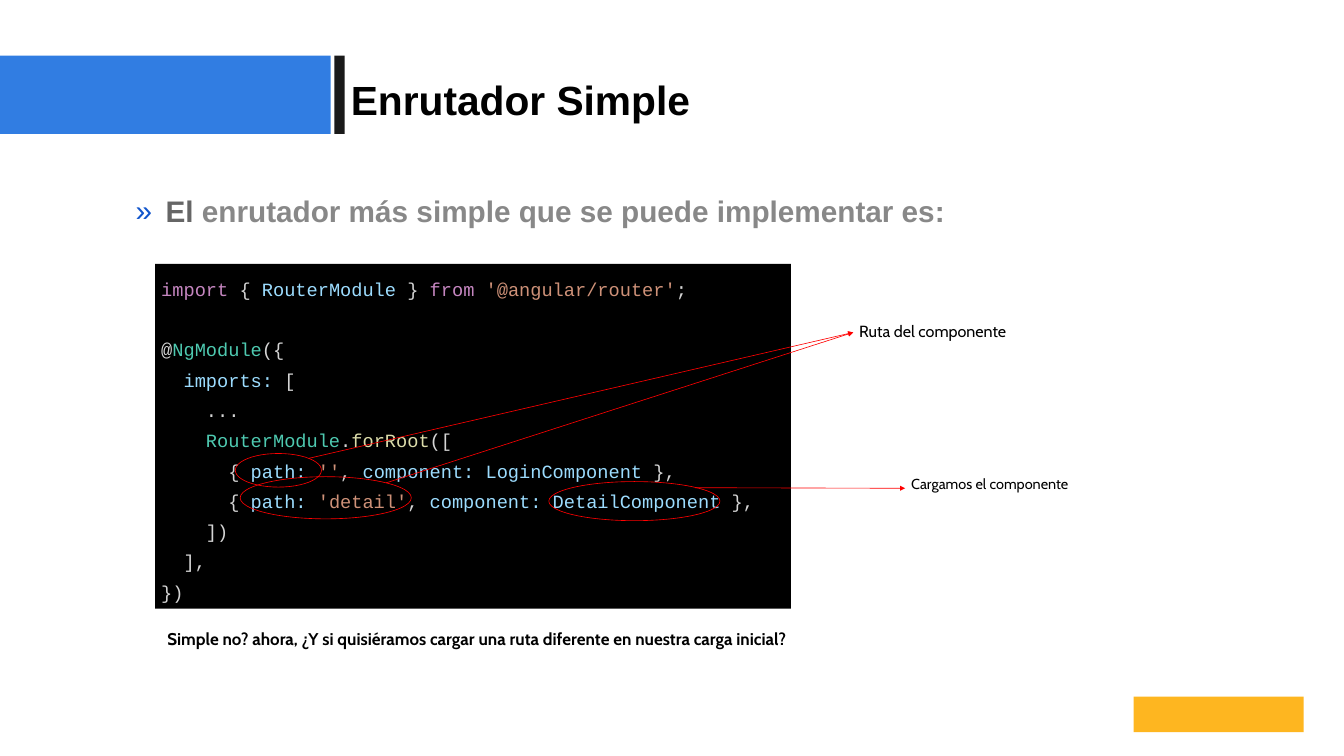
"""Builds the slide "Enrutador Simple" about a minimal router."""
from lxml import etree
from pptx import Presentation
from pptx.dml.color import RGBColor
from pptx.enum.shapes import MSO_CONNECTOR, MSO_SHAPE
from pptx.enum.text import MSO_ANCHOR, MSO_AUTO_SIZE, PP_ALIGN
from pptx.oxml.ns import qn
from pptx.util import Inches, Pt

RECT, OVAL = MSO_SHAPE.RECTANGLE, MSO_SHAPE.OVAL
STRAIGHT = MSO_CONNECTOR.STRAIGHT
TOP, MIDDLE = MSO_ANCHOR.TOP, MSO_ANCHOR.MIDDLE
LEFT, JUSTIFY = PP_ALIGN.LEFT, PP_ALIGN.JUSTIFY
NO_AUTOFIT = MSO_AUTO_SIZE.NONE

BLUE = RGBColor(0x31, 0x7D, 0xE2)
DARK = RGBColor(0x1A, 0x1A, 0x1A)
BLACK = RGBColor(0, 0, 0)
RED = RGBColor(0xFF, 0, 0)
AMBER = RGBColor(0xFE, 0xB6, 0x20)
GRAY = RGBColor(0x66, 0x66, 0x66)
LIGHT_GRAY = RGBColor(0x88, 0x88, 0x88)
KEYWORD = RGBColor(0xC5, 0x86, 0xC0)
PLAIN = RGBColor(0xD4, 0xD4, 0xD4)
NAME = RGBColor(0x9C, 0xDC, 0xFE)
STRING = RGBColor(0xCE, 0x91, 0x78)
TYPE = RGBColor(0x4E, 0xC9, 0xB0)
CALL = RGBColor(0xDC, 0xDC, 0xAA)
BULLET_COLOR = "1155CC"
CODE_LEADING = Pt(35.7)


def route(path_value, component):
    """Return the coloured runs of one route entry."""
    return [("      { ", PLAIN), ("path: ", NAME), (path_value, STRING), (", ", PLAIN),
            ("component: " + component, NAME), (" },", PLAIN)]


CODE = [
    [("import", KEYWORD), (" { ", PLAIN), ("RouterModule", NAME), (" } ", PLAIN),
     ("from ", KEYWORD), ("'@angular/router'", STRING), (";", PLAIN)],
    [("@", PLAIN), ("NgModule", TYPE), ("({", PLAIN)],
    [("  ", PLAIN), ("imports:", NAME), (" [", PLAIN)],
    [("    ...", PLAIN)],
    [("    ", PLAIN), ("RouterModule", TYPE), (".", PLAIN), ("forRoot", CALL), ("([", PLAIN)],
    route("''", "LoginComponent"),
    route("'detail'", "DetailComponent"),
    [("    ])", PLAIN)],
    [("  ],", PLAIN)],
    [("})", PLAIN)],
]
RINGS = [(3.85, 7.42, 1.41, 0.55), (3.93, 7.8, 2.8, 0.69), (8.98, 7.88, 2.8, 0.64)]
ARROWS = [(5.05, 7.5, 13.96, 5.44), (6.32, 7.9, 13.96, 5.44), (11.37, 7.98, 14.81, 7.99)]
NOTES = [
    ("Ruta del componente", (13.96, 5.16, 3.54, 0.55), 19, False),
    ("Cargamos el componente", (14.81, 7.67, 4.02, 0.64), 17, False),
    ("Simple no? ahora, ¿Y si quisiéramos cargar una ruta diferente en nuestra carga inicial?",
     (2.64, 10.19, 13.21, 0.97), 20, True),
]


def write(sp, lines, font="Cabin", size=20, bold=False, align=LEFT, anchor=TOP,
          leading=None, insets=(0.1, 0.1, 0.1, 0.1)):
    """Fill a shape with lines of (text, colour) runs and return its text frame."""
    tf = sp.text_frame
    tf.word_wrap, tf.auto_size, tf.vertical_anchor = True, NO_AUTOFIT, anchor
    tf.margin_left, tf.margin_top, tf.margin_right, tf.margin_bottom = map(Inches, insets)
    for i, runs in enumerate(lines):
        p = tf.add_paragraph() if i else tf.paragraphs[0]
        p.alignment = align
        if leading:
            p.line_spacing = leading
        for text, color in runs:
            r = p.add_run()
            r.text = text
            r.font.name, r.font.size, r.font.bold = font, Pt(size), bold
            r.font.color.rgb = color
    return tf


def add_shape(s, kind, box, fill=None, line=None):
    """Add a preset shape with an optional fill and outline."""
    sp = s.shapes.add_shape(kind, *map(Inches, box))
    sp.shadow.inherit = False
    if fill is None:
        sp.fill.background()
    else:
        sp.fill.solid()
        sp.fill.fore_color.rgb = fill
    if line is None:
        sp.line.fill.background()
    else:
        sp.line.color.rgb = line
        sp.line.width = Pt(0.75)
    return sp


def add_text(s, box, lines, **style):
    """Add a text box and return its text frame."""
    return write(s.shapes.add_textbox(*map(Inches, box)), lines, **style)


def add_arrow(s, ends):
    """Add a thin red arrow."""
    c = s.shapes.add_connector(STRAIGHT, *map(Inches, ends))
    c.line.color.rgb = RED
    c.line.width = Pt(0.75)
    etree.SubElement(c.line._get_or_add_ln(), qn("a:tailEnd"), type="triangle")
    etree.SubElement(c._element.spPr, qn("a:effectLst"))


def add_bullet(p):
    """Give a paragraph a hanging blue bullet."""
    pPr = p._p.get_or_add_pPr()
    pPr.set("marL", str(Inches(0.5)))
    pPr.set("indent", str(Inches(-0.49)))
    color = etree.SubElement(pPr, qn("a:buClr"))
    etree.SubElement(color, qn("a:srgbClr"), val=BULLET_COLOR)
    etree.SubElement(pPr, qn("a:buFont"), typeface="Arial")
    etree.SubElement(pPr, qn("a:buChar"), char="»")


def add_title(s, text):
    """Place the title beside its blue band."""
    add_shape(s, RECT, (0, 0.91, 5.41, 1.28), BLUE)
    add_shape(s, RECT, (5.47, 0.91, 0.17, 1.28), DARK)
    sp = s.shapes.title
    sp.left, sp.top, sp.width, sp.height = map(Inches, (5.74, 1.22, 7.56, 0.81))
    write(sp, [[(text, BLACK)]], font="Arial", size=48, bold=True, insets=(0, 0, 0, 0))


def add_lead(s):
    """Add the bulleted sentence above the code."""
    runs = [("El", GRAY), (" enrutador más simple que se puede implementar es:", LIGHT_GRAY)]
    tf = add_text(s, (2.21, 2.97, 16.94, 0.69), [runs], font="Arial", size=35, bold=True,
                  align=JUSTIFY, leading=1.15, insets=(0, 0.1, 0, 0))
    p = tf.paragraphs[0]
    p.space_before = p.space_after = Pt(10)
    add_bullet(p)


def add_code(s):
    """Add the code panel, with a gap after the import."""
    panel = add_shape(s, RECT, (2.54, 4.32, 10.4, 5.64), BLACK)
    tf = write(panel, CODE, font="Courier New", size=22, anchor=MIDDLE, leading=CODE_LEADING)
    tf.paragraphs[1].space_before = CODE_LEADING


def main():
    """Build and save the slide."""
    prs = Presentation()
    prs.slide_width, prs.slide_height = Inches(21.99), Inches(12.37)
    s = prs.slides.add_slide(prs.slide_layouts[5])
    add_title(s, "Enrutador Simple")
    add_lead(s)
    add_code(s)
    for box in RINGS:
        add_shape(s, OVAL, box, line=RED)
    for ends in ARROWS:
        add_arrow(s, ends)
    for text, box, size, bold in NOTES:
        add_text(s, box, [[(text, BLACK)]], size=size, bold=bold)
    add_shape(s, RECT, (18.55, 11.4, 2.78, 0.58), AMBER)
    prs.save("out.pptx")


if __name__ == "__main__":
    main()
